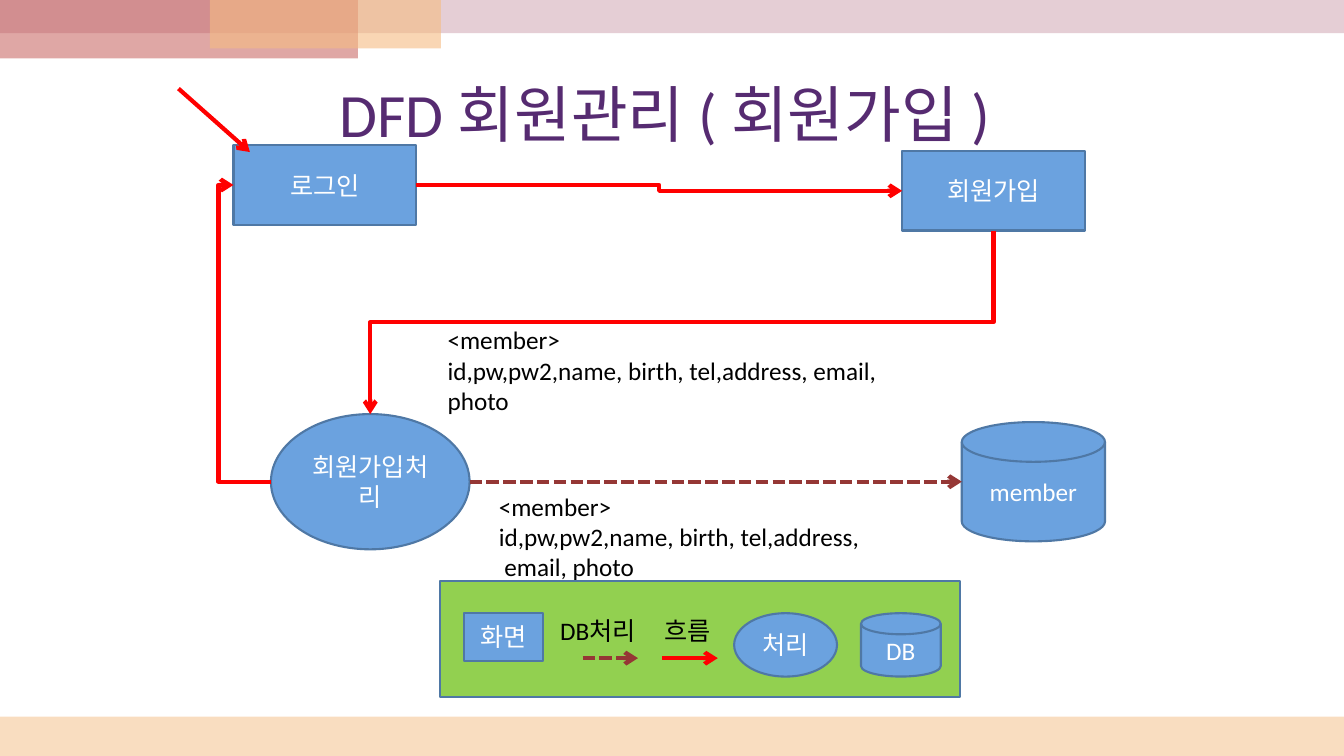
from lxml import etree
from pptx import Presentation, util as u
from pptx.dml.color import RGBColor
from pptx.enum import dml, shapes, text
from pptx.oxml.ns import qn

BLUE = RGBColor(0x6B, 0xA2, 0xDF)
EDGE = RGBColor(0x4F, 0x78, 0xA5)
RED = RGBColor(0xFF, 0, 0)
BROWN = RGBColor(0x95, 0x37, 0x35)
GREEN = RGBColor(0x92, 0xD0, 0x50)
PEACH = RGBColor(0xF5, 0xBC, 0x83)
MAUVE = RGBColor(0xCC, 0x9E, 0xAC)
BRICK = RGBColor(0xC0, 0x50, 0x4D)
PLUM = RGBColor(0x56, 0x2B, 0x71)
WHITE = RGBColor(0xFF, 0xFF, 0xFF)
BLACK = RGBColor(0, 0, 0)

COLS, ROWS = 160, 90
WIDE, HIGH = u.Inches(13.33), u.Inches(7.5)
KIND = shapes.MSO_SHAPE
RECT, OVAL, DISK = KIND.RECTANGLE, KIND.OVAL, KIND.FLOWCHART_MAGNETIC_DISK

TITLE = "DFD 회원관리 ( 회원가입 ) "
TITLE_BOX = (8, 7.1, 144, 12.6)
BANDS = [
    ((0, 85.3, 160, 4.7), PEACH, 50),
    ((0, 0, 160, 3.95), MAUVE, 50),
    ((0, 0, 42.6, 6.95), BRICK, 50),
    ((25, 0, 27.5, 5.75), PEACH, 60),
]
LOGIN = (27.8, 17.3, 21.75, 9.45)
JOIN = (107.4, 18, 21.75, 9.45)
STORE = (114.5, 50.25, 17.05, 14.2)
PROC = (32.25, 49.3, 23.65, 16.1)
ENTRY = (21.25, 10.55, 29.75, 18.1)
NOTES = [
    (["<member>", "id,pw,pw2,name, birth, tel,address, email, photo"],
     (52.1, 38.05, 53.65, 11.9), True),
    (["<member>", "id,pw,pw2,name, birth, tel,address,", " email, photo"],
     (58.2, 57.85, 53.05, 11.9), False),
]
LEGEND = (52.35, 69.2, 61.9, 13.8)
KEYS = [
    ("화면", RECT, (55.2, 73, 9.5, 5.65)),
    ("DB", DISK, (102.5, 73, 9.5, 7.55)),
    ("처리", OVAL, (87.4, 73, 12.25, 7.55)),
]
KEY_TEXTS = [
    (["DB처리"], (65.5, 72.7, 12.25, 4.8), False),
    (["흐름"], (77.9, 72.7, 8.5, 4.8), True),
]
KEY_LINES = [(69.35, BROWN, True), (78.85, RED, False)]
KEY_ROW, KEY_LEN = 78.35, 6.6


def place(box):
    x, y, w, h = box
    return [round(n) for n in (x * WIDE / COLS, y * HIGH / ROWS,
                               w * WIDE / COLS, h * HIGH / ROWS)]


def write(frame, lines, size=18, color=WHITE, align=None, wrap=True):
    frame.word_wrap = wrap
    for i, line in enumerate(lines):
        para = frame.paragraphs[0] if i == 0 else frame.add_paragraph()
        para.alignment = align
        run = para.add_run()
        run.text = line
        run.font.size = u.Pt(size)
        run.font.name = "Calibri"
        run.font.color.rgb = color


def draw(kind, box, fill=BLUE, label=None, edge=EDGE, alpha=None):
    item = slide.shapes.add_shape(kind, *place(box))
    item.shadow.inherit = False
    item.fill.solid()
    item.fill.fore_color.rgb = fill
    if alpha:
        tint = item._element.spPr.find(".//" + qn("a:srgbClr"))
        etree.SubElement(tint, qn("a:alpha"), val=str(alpha * 1000))
    if edge is None:
        item.line.fill.background()
    else:
        item.line.color.rgb = edge
        item.line.width = u.Pt(1.5)
    if label:
        write(item.text_frame, [label], align=text.PP_ALIGN.CENTER)
    return item


def note(lines, box, wrap):
    area = slide.shapes.add_textbox(*place(box))
    write(area.text_frame, lines, color=BLACK, wrap=wrap)
    area.text_frame.auto_size = text.MSO_AUTO_SIZE.SHAPE_TO_FIT_TEXT


def link(ends, color=RED, dash=False, bend=None, turn=False):
    x1, y1, x2, y2 = place(ends)
    if turn:
        mx, my = (x1 + x2) // 2, (y1 + y2) // 2
        dx, dy = abs(y2 - y1) // 2, abs(x2 - x1) // 2
        x1, y1, x2, y2 = mx - dx, my - dy, mx + dx, my + dy
    kind = shapes.MSO_CONNECTOR
    line = slide.shapes.add_connector(
        kind.ELBOW if bend else kind.STRAIGHT, x1, y1, x2, y2)
    line.line.color.rgb = color
    line.line.width = u.Pt(3)
    if dash:
        line.line.dash_style = dml.MSO_LINE.SQUARE_DOT
    props = line._element.spPr
    etree.SubElement(props.find(qn("a:ln")), qn("a:tailEnd"), type="arrow")
    etree.SubElement(props, qn("a:effectLst"))
    if turn:
        props.find(qn("a:xfrm")).set("rot", "5400000")
    if bend:
        guides = props.find(qn("a:prstGeom")).find(qn("a:avLst"))
        etree.SubElement(guides, qn("a:gd"), name="adj1",
                         fmla=f"val {round(bend * 100000)}")
    return line


def side(box, across, down):
    x, y, w, h = box
    return x + w * across, y + h * down


deck = Presentation()
deck.slide_width, deck.slide_height = WIDE, HIGH
slide = deck.slides.add_slide(deck.slide_layouts[5])
for box, color, alpha in BANDS:
    draw(RECT, box, color, edge=None, alpha=alpha)

head = slide.shapes.title
head.left, head.top, head.width, head.height = place(TITLE_BOX)
head.text_frame.vertical_anchor = text.MSO_ANCHOR.MIDDLE
write(head.text_frame, [TITLE], size=44, color=PLUM, align=text.PP_ALIGN.CENTER)

login = draw(RECT, LOGIN, label="로그인")
join = draw(RECT, JOIN, label="회원가입")
draw(DISK, STORE, label="member")
draw(OVAL, PROC, label="회원가입처리")

link(ENTRY)
path = link(side(LOGIN, 1, .5) + side(JOIN, 0, .5), bend=.5)
path.begin_connect(login, 3)
path.end_connect(join, 1)
link(side(JOIN, .5, 1) + side(PROC, .5, 0), bend=.5, turn=True)
link(side(PROC, 0, .5) + side(LOGIN, 0, .5), bend=1.4)
link(side(PROC, 1, .5) + side(STORE, 0, .5), BROWN, dash=True, bend=.5)

for lines, box, wrap in NOTES:
    note(lines, box, wrap)

draw(RECT, LEGEND, GREEN)
for label, kind, box in KEYS:
    draw(kind, box, label=label)
for lines, box, wrap in KEY_TEXTS:
    note(lines, box, wrap)
for left, color, dash in KEY_LINES:
    link((left, KEY_ROW, left + KEY_LEN, KEY_ROW), color, dash)

deck.save("out.pptx")
